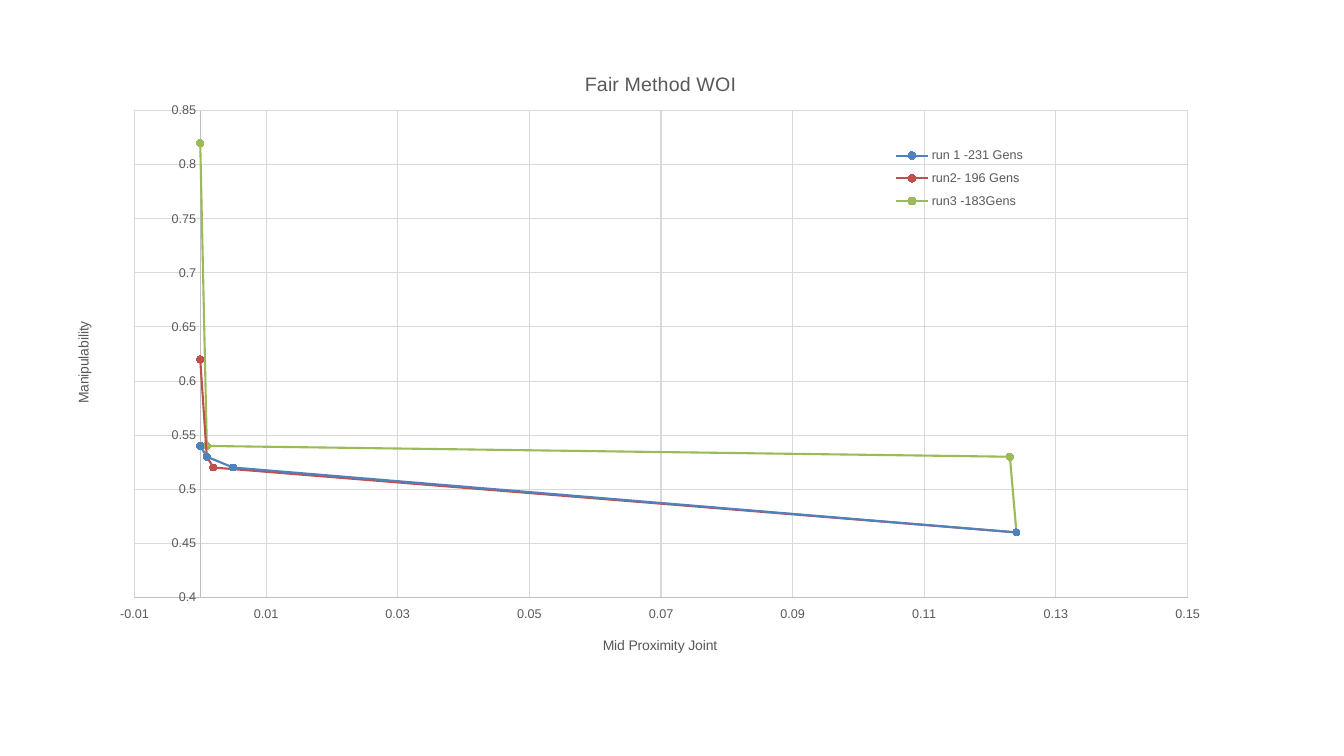
from pptx import Presentation
from pptx.chart.data import XyChartData
from pptx.dml.color import RGBColor
from pptx.enum.chart import (XL_CHART_TYPE, XL_LEGEND_POSITION, XL_MARKER_STYLE,
                             XL_TICK_LABEL_POSITION, XL_TICK_MARK)
from pptx.oxml import parse_xml
from pptx.oxml.ns import nsdecls, qn
from pptx.util import Cm, Pt

SCATTER = XL_CHART_TYPE.XY_SCATTER_LINES
LEGEND_LEFT = XL_LEGEND_POSITION.LEFT
CIRCLE = XL_MARKER_STYLE.CIRCLE
LABELS_LOW = XL_TICK_LABEL_POSITION.LOW
LABELS_NEXT = XL_TICK_LABEL_POSITION.NEXT_TO_AXIS
NO_TICK = XL_TICK_MARK.NONE

RUNS = [
    ("run 1 -231 Gens", "4F81BD",
     [(0, 0.54), (0.001, 0.53), (0.005, 0.52), (0.124, 0.46)]),
    ("run2- 196 Gens", "C0504D",
     [(0, 0.62), (0.001, 0.53), (0.002, 0.52), (0.124, 0.46)]),
    ("run3 -183Gens", "9BBB59",
     [(0, 0.82), (0.001, 0.54), (0.123, 0.53), (0.124, 0.46)]),
]


def color(code):
    return RGBColor.from_string(code)


class ChartPage:
    """Hold the chart style and the current slide."""

    font_name = "Arial"
    text_color = "595959"
    axis_color = "BFBFBF"
    grid_color = "D9D9D9"

    def __init__(self, deck):
        self.page = deck.slides.add_slide(deck.slide_layouts[6])

    def style_font(self, font, size):
        font.name = self.font_name
        font.size = Pt(size)
        font.bold = False
        font.color.rgb = color(self.text_color)

    def style_line(self, line, code, width=0.75):
        line.color.rgb = color(code)
        line.width = Pt(width)

    def place(self, element, index, x, y, size=None, inner=False):
        for layout in element.findall(qn("c:layout")):
            element.remove(layout)
        fields = [("layoutTarget", "inner")] if inner else []
        fields += [("xMode", "edge"), ("yMode", "edge"), ("x", x), ("y", y)]
        if size:
            fields += zip("wh", size)
        body = "".join(f'<c:{name} val="{value}"/>' for name, value in fields)
        element.insert(index, parse_xml(
            f'<c:layout {nsdecls("c")}><c:manualLayout>{body}</c:manualLayout></c:layout>'))

    def add_title(self, title, text, size, x, y, upright=False):
        span = title.text_frame.paragraphs[0].add_run()
        span.text = text
        self.style_font(span.font, size)
        if upright:
            body = title.element.find(".//" + qn("a:bodyPr"))
            body.set("rot", "-5400000")
            body.set("vert", "horz")
        self.place(title.element, 1, x, y)

    def style_axis(self, axis, low, high, step, labels):
        axis.minimum_scale = low
        axis.maximum_scale = high
        axis.major_unit = step
        axis.major_tick_mark = NO_TICK
        axis.minor_tick_mark = NO_TICK
        axis.tick_label_position = labels
        axis.tick_labels.number_format = "General"
        axis.tick_labels.number_format_is_linked = False
        self.style_font(axis.tick_labels.font, 9)
        self.style_line(axis.format.line, self.axis_color)
        axis.has_major_gridlines = True
        self.style_line(axis.major_gridlines.format.line, self.grid_color)

    def add_legend(self, chart):
        chart.has_legend = True
        chart.legend.position = LEGEND_LEFT
        chart.legend.include_in_layout = False
        self.style_font(chart.legend.font, 9)
        legend = chart.element.find(".//" + qn("c:legend"))
        self.place(legend, 1, 0.693, 0.147, (0.12, 0.126))

    def add_scatter(self, runs, left, top, width, height):
        data = XyChartData()
        for name, _, points in runs:
            series = data.add_series(name)
            for x, y in points:
                series.add_data_point(x, y)
        chart = self.page.shapes.add_chart(SCATTER, left, top, width, height, data).chart
        self.style_font(chart.font, 10)
        plot = chart.plots[0]
        plot.vary_by_categories = False
        for series, (_, code, _) in zip(plot.series, runs):
            self.style_line(series.format.line, code, 1.5)
            marker = series.marker
            marker.style = CIRCLE
            marker.size = 5
            marker.format.fill.solid()
            marker.format.fill.fore_color.rgb = color(code)
            self.style_line(marker.format.line, code)
        area = chart.element.find(".//" + qn("c:plotArea"))
        self.place(area, 0, 0.055, 0.098, (0.891, 0.806), inner=True)
        return chart


def main():
    deck = Presentation()
    deck.slide_width = Cm(33.87)
    deck.slide_height = Cm(19.05)
    page = ChartPage(deck)
    chart = page.add_scatter(RUNS, Cm(1.75), Cm(1.3), Cm(29.79), Cm(15.29))
    joint, manipulability = chart.category_axis, chart.value_axis
    page.style_axis(joint, -0.01, 0.15, 0.02, LABELS_LOW)
    page.style_axis(manipulability, 0.4, 0.85, 0.05, LABELS_NEXT)
    chart.has_title = True
    page.add_title(chart.chart_title, "Fair Method WOI", 14, 0.433, 0.027)
    page.add_title(joint.axis_title, "Mid Proximity Joint", 10, 0.449, 0.965)
    page.add_title(manipulability.axis_title, "Manipulability", 10, 0.002, 0.443, upright=True)
    page.add_legend(chart)
    deck.save("out.pptx")


if __name__ == "__main__":
    main()
